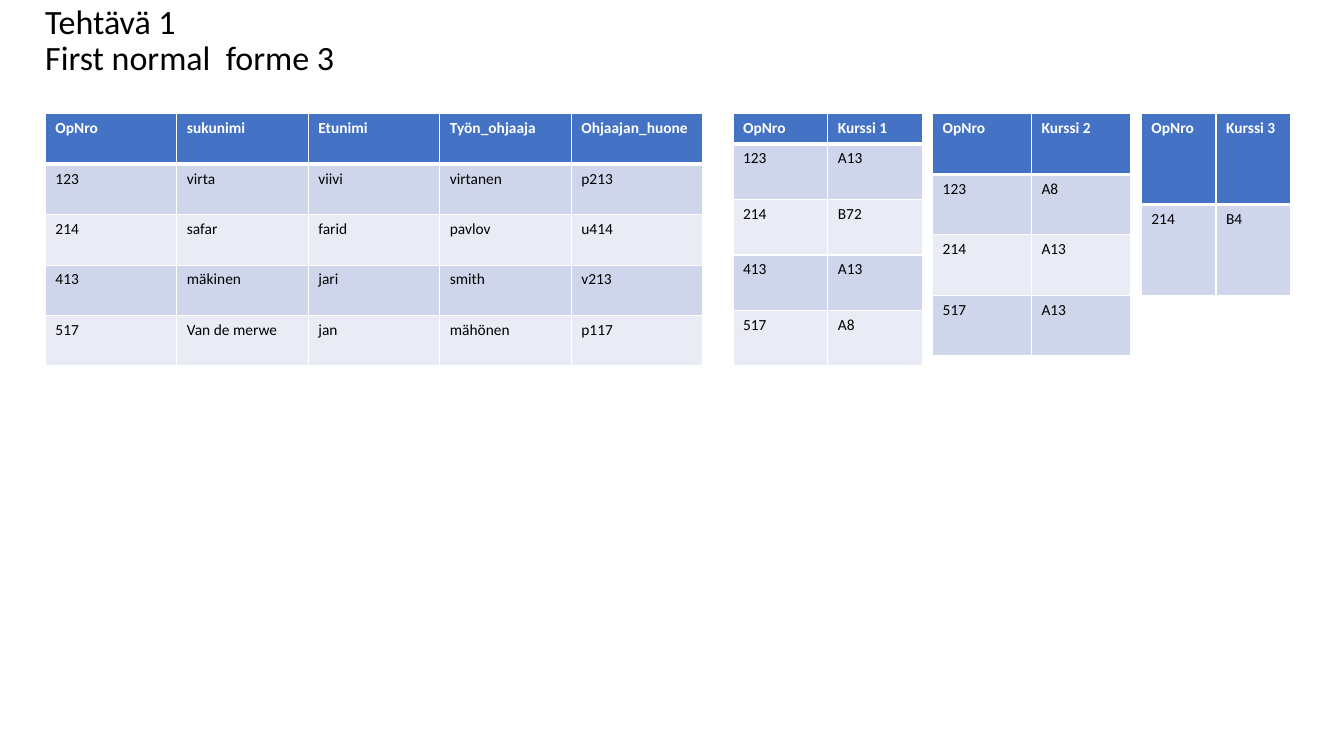
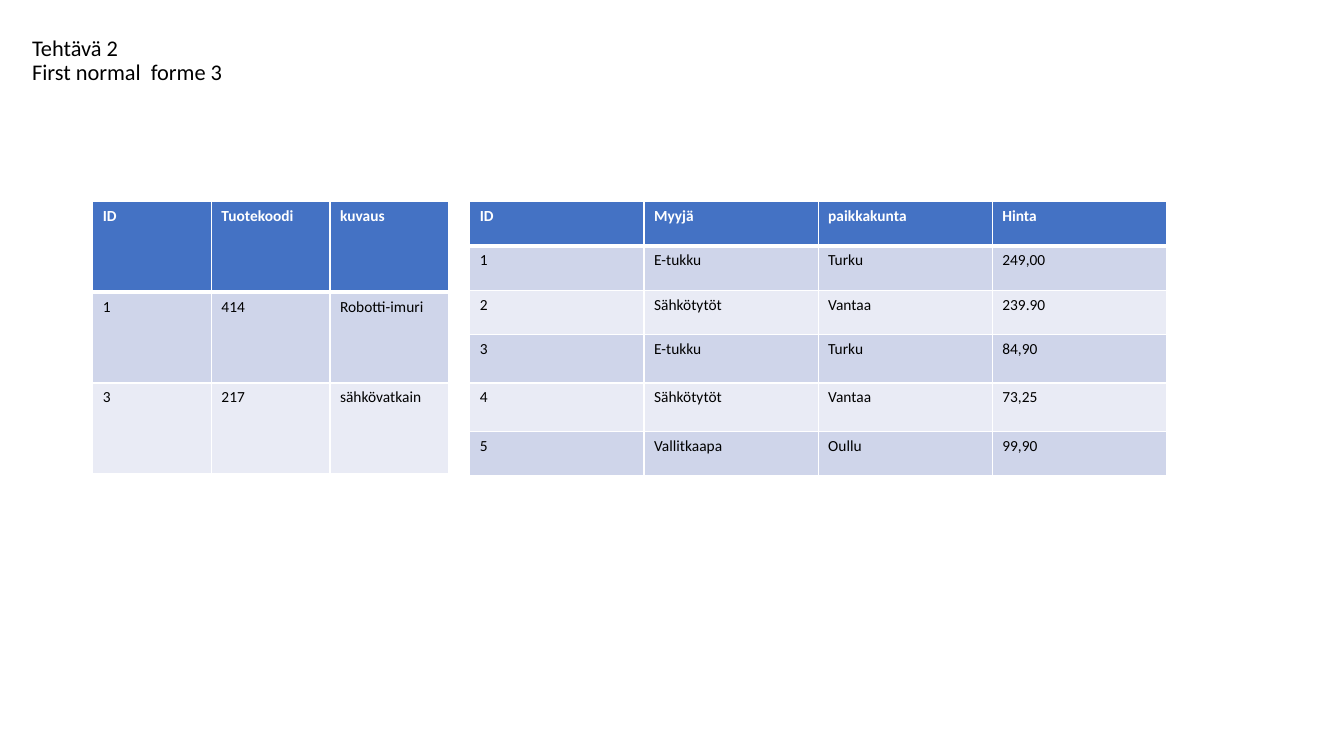
from lxml import etree
from pptx import Presentation
from pptx import util as u
from pptx.dml import color
from pptx.enum import text
from pptx.oxml import ns

FONT = "Calibri"
HEADER, BAND_DARK, BAND_LIGHT = "4472C4", "CFD5EA", "E9EBF5"
WHITE, BLACK = "FFFFFF", "000000"


def rgb(value):
    return color.RGBColor.from_string(value)


def add_run(p, content, size, value, bold=False):
    r = p.add_run()
    r.text = content
    r.font.name = FONT
    r.font.size = u.Pt(size)
    r.font.bold = bold
    r.font.color.rgb = rgb(value)


slides = [
    {
        "title": ["Tehtävä 1", "First normal  forme 3"],
        "box": (0.35, 0, 4.89, 0.82),
        "size": 24.3,
        "top": 1.13,
        "tables": [
            (0.45, 6.52, [0.5] * 5, [
                ["OpNro", "sukunimi", "Etunimi", "Työn_ohjaaja", "Ohjaajan_huone"],
                ["123", "virta", "viivi", "virtanen", "p213"],
                ["214", "safar", "farid", "pavlov", "u414"],
                ["413", "mäkinen", "jari", "smith", "v213"],
                ["517", "Van de merwe", "jan", "mähönen", "p117"],
            ]),
            (7.27, 1.88, [0.3] + [0.55] * 4, [
                ["OpNro", "Kurssi 1"],
                ["123", "A13"],
                ["214", "B72"],
                ["413", "A13"],
                ["517", "A8"],
            ]),
            (9.25, 1.96, [0.6] * 4, [
                ["OpNro", "Kurssi 2"],
                ["123", "A8"],
                ["214", "A13"],
                ["517", "A13"],
            ]),
            (11.32, 1.48, [0.9] * 2, [
                ["OpNro", "Kurssi 3"],
                ["214", "B4"],
            ]),
        ],
    },
    {
        "title": ["Tehtävä 2", "First normal  forme 3"],
        "box": (0.22, 0.09, 2.4, 1.03),
        "size": 16,
        "top": 2,
        "tables": [
            (0.92, 3.53, [0.9] * 3, [
                ["ID", "Tuotekoodi", "kuvaus"],
                ["1", "414", "Robotti-imuri"],
                ["3", "217", "sähkövatkain"],
            ]),
            (4.66, 6.91, [0.44] * 3 + [0.48] * 2 + [0.44], [
                ["ID", "Myyjä", "paikkakunta", "Hinta"],
                ["1", "E-tukku", "Turku", "249,00"],
                ["2", "Sähkötytöt", "Vantaa", "239.90"],
                ["3", "E-tukku", "Turku", "84,90"],
                ["4", "Sähkötytöt", "Vantaa", "73,25"],
                ["5", "Vallitkaapa", "Oullu", "99,90"],
            ]),
        ],
    },
]

prs = Presentation()
prs.slide_width = u.Inches(13.33)
prs.slide_height = u.Inches(7.5)

for content in slides:
    s = prs.slides.add_slide(prs.slide_layouts[6])

    sp = s.shapes.add_textbox(*[u.Inches(n) for n in content["box"]])
    tf = sp.text_frame
    tf.word_wrap = True
    tf.vertical_anchor = text.MSO_ANCHOR.MIDDLE
    p = tf.paragraphs[0]
    p.line_spacing = 0.9
    for i, line in enumerate(content["title"]):
        if i:
            p.add_line_break()
        add_run(p, line, content["size"], BLACK)

    for left, width, heights, rows in content["tables"]:
        table = s.shapes.add_table(
            len(rows), len(rows[0]), u.Inches(left), u.Inches(content["top"]),
            u.Inches(width), u.Inches(sum(heights))).table
        for row, height in zip(table.rows, heights):
            row.height = u.Inches(height)
        for i, row in enumerate(rows):
            fill = HEADER if i == 0 else (BAND_LIGHT, BAND_DARK)[i % 2]
            borders = {"L": 1, "R": 1, "T": 3 if i == 1 else 1, "B": 3 if i == 0 else 1}
            for j, value in enumerate(row):
                cell = table.cell(i, j)
                tcPr = cell._tc.get_or_add_tcPr()
                for side, points in borders.items():
                    ln = etree.SubElement(tcPr, ns.qn("a:ln" + side), w=str(u.Pt(points)))
                    line_fill = etree.SubElement(ln, ns.qn("a:solidFill"))
                    etree.SubElement(line_fill, ns.qn("a:srgbClr"), val=WHITE)
                cell.fill.solid()
                cell.fill.fore_color.rgb = rgb(fill)
                p = cell.text_frame.paragraphs[0]
                add_run(p, value, 11, BLACK if i else WHITE, bold=i == 0)

prs.save("out.pptx")
